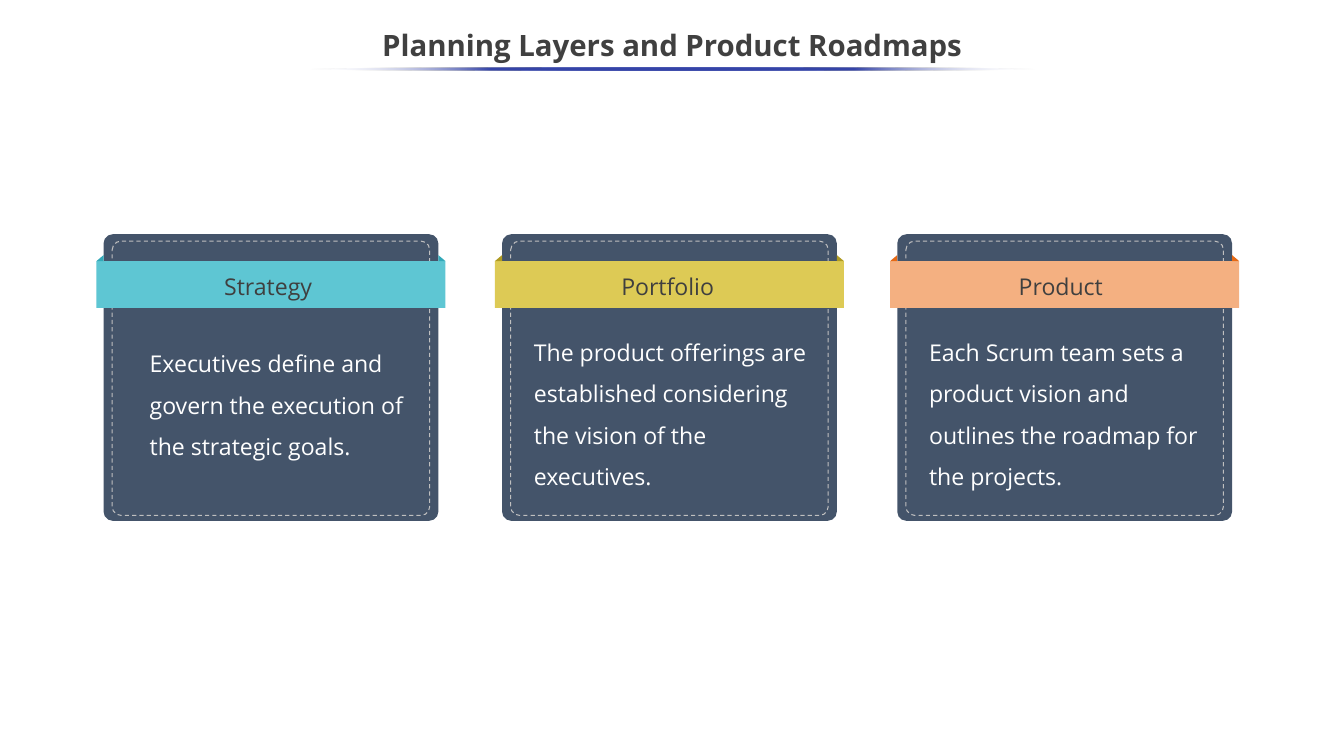
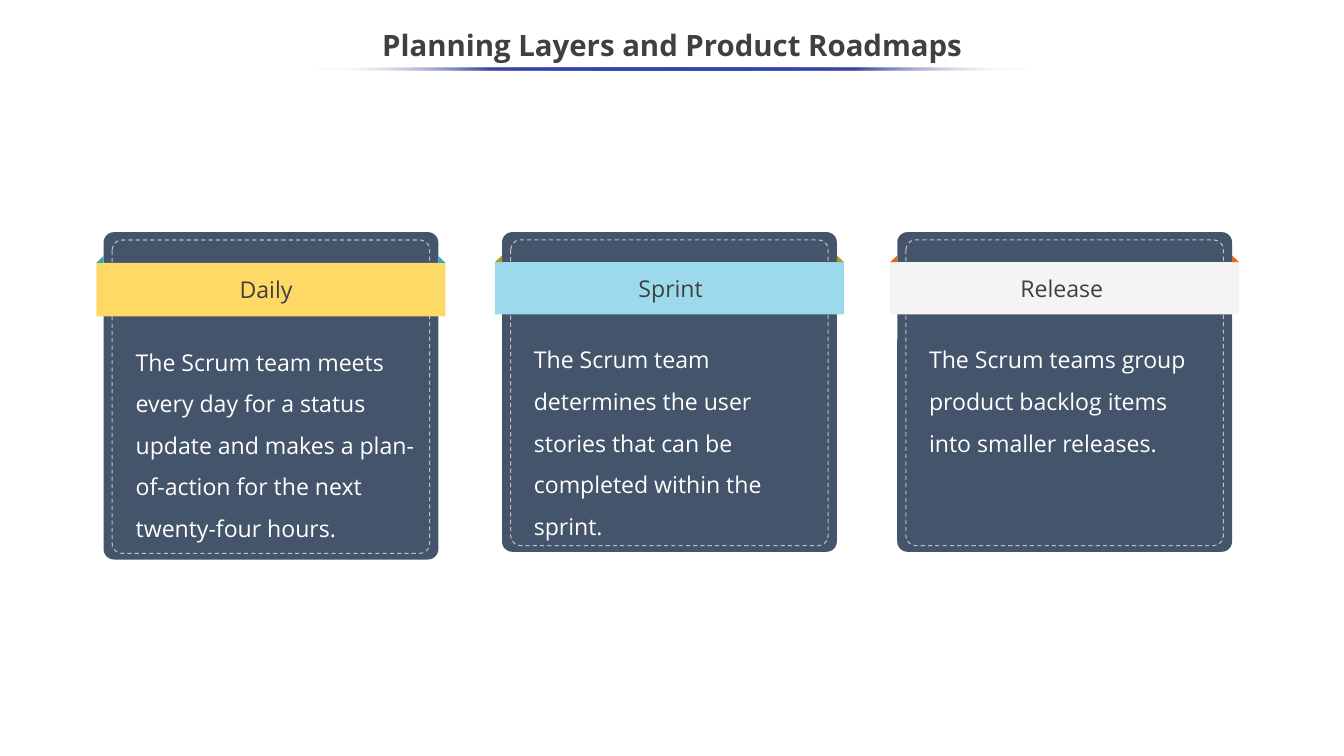
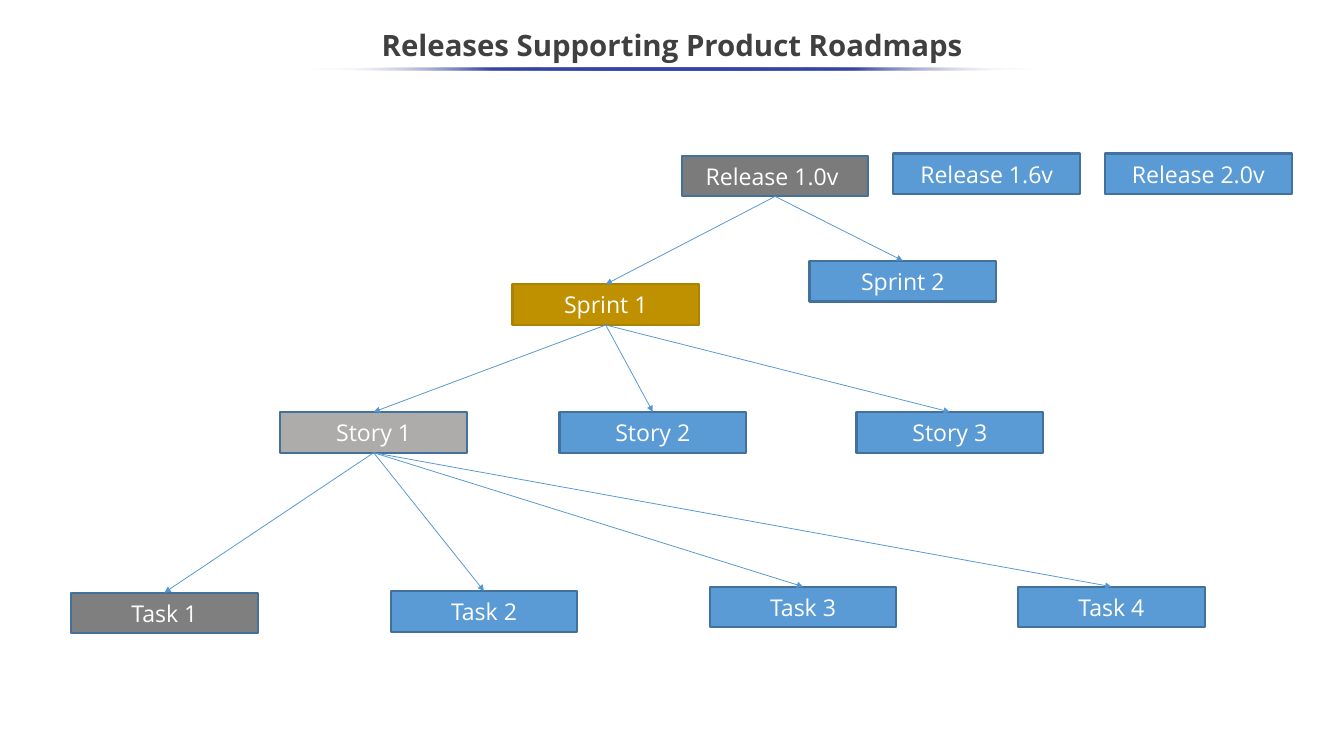
from pptx import Presentation
from pptx.dml.color import RGBColor
from pptx.enum.dml import MSO_LINE
from pptx.enum.shapes import MSO_CONNECTOR, MSO_SHAPE
from pptx.enum.text import MSO_ANCHOR, PP_ALIGN
from pptx.oxml import parse_xml
from pptx.oxml.ns import nsdecls, qn
from pptx.util import Cm, Pt

FONT = "Open Sans"
COLORS = {
    "title": "404040", "label": "3F3F3F", "white": "FFFFFF", "rule": "3645A9",
    "card": "44546A", "stitch": "BFBFBF",
    "teal": "5EC6D3", "teal_fold": "32A8B8", "olive": "DDCA55", "olive_fold": "AF9B23",
    "peach": "F4B081", "orange_fold": "E56915",
    "yellow": "FFD966", "sky": "9CDAEB", "pale": "F5F4F4",
    "blue": "5B9BD5", "blue_edge": "42719B", "arrow": "5597D3",
    "iron": "7B7B7B", "gray": "7F7F7F", "silver": "AEABAB",
    "gold": "BF9000", "gold_edge": "AC8300",
}
SLIDE_W, SLIDE_H = 45.16, 25.4
CARD_XS, CARD_W = (3.48, 16.87, 30.15), 11.25
FOLD_W = 0.24
BODY_W = 9.86
NODE_W, NODE_H = 6.27, 1.37

LAYERS = [
    dict(label="Strategy ", label_box=(3.71, 3.84), band="teal", fold="teal_fold", height=9.63,
         body="Executives define and govern the execution of the strategic goals.",
         body_box=(1.3, 3.28, 4.5)),
    dict(label="Portfolio", label_box=(3.48, 4.17), band="olive", fold="olive_fold", height=9.63,
         body="The product offerings are established considering the vision of the executives.",
         body_box=(0.82, 2.9, 5.89)),
    dict(label="Product", label_box=(3.63, 3.73), band="peach", fold="orange_fold", height=9.63,
         body="Each Scrum team sets a product vision and outlines the roadmap for the projects.",
         body_box=(0.82, 2.9, 6.02)),
]
CYCLES = [
    dict(label="Daily", label_box=(3.91, 3.1), band="yellow", fold="teal_fold", height=11,
         body="The Scrum team meets every day for a status update and makes a "
              "plan-of-action for the next twenty-four hours.",
         body_box=(0.83, 3.3, 7.44)),
    dict(label="Sprint", label_box=(4.04, 3.25), band="sky", fold="olive_fold", height=10.74,
         body="The Scrum team determines the user stories that can be completed within the sprint.",
         body_box=(0.82, 3.23, 7.44)),
    dict(label="Release", label_box=(3.43, 4.19), band="pale", fold="orange_fold", height=10.74,
         body="The Scrum teams group product backlog items into smaller releases.",
         body_box=(0.82, 3.23, 4.57)),
]
NODES = [
    ("Release 1.0v ", 22.91, 5.23, "iron", "blue_edge"),
    ("Release 1.6v", 30.02, 5.16, "blue", "blue_edge"),
    ("Release 2.0v", 37.13, 5.16, "blue", "blue_edge"),
    ("Sprint 1", 17.22, 9.55, "gold", "gold_edge"),
    ("Sprint 2", 27.2, 8.76, "blue", "blue_edge"),
    ("Story 1", 9.42, 13.84, "silver", "blue_edge"),
    ("Story 2", 18.8, 13.84, "blue", "blue_edge"),
    ("Story 3", 28.78, 13.84, "blue", "blue_edge"),
    ("Task 1", 2.39, 19.91, "gray", "blue_edge"),
    ("Task 2", 13.13, 19.86, "blue", "blue_edge"),
    ("Task 3", 23.85, 19.71, "blue", "blue_edge"),
    ("Task 4", 34.21, 19.71, "blue", "blue_edge"),
]
CHILDREN = {
    "Release 1.0v ": ("Sprint 1", "Sprint 2"),
    "Sprint 1": ("Story 1", "Story 2", "Story 3"),
    "Story 1": ("Task 1", "Task 2", "Task 3", "Task 4"),
}


def rgb(name):
    """Return the named palette colour."""
    return RGBColor.from_string(COLORS[name])


def write(sp, text, size=22, color="white", bold=False, align=PP_ALIGN.LEFT,
          anchor=MSO_ANCHOR.TOP, spacing=1.0):
    """Put one formatted paragraph into a shape."""
    tf = sp.text_frame
    tf.word_wrap = True
    tf.vertical_anchor = anchor
    p = tf.paragraphs[0]
    p.alignment = align
    p.line_spacing = spacing
    r = p.add_run()
    r.text = text
    r.font.name, r.font.size, r.font.bold = FONT, Pt(size), bold
    r.font.color.rgb = rgb(color)


def add_text(shapes, x, y, w, h, text, **fmt):
    """Add a text box with formatted text."""
    write(shapes.add_textbox(Cm(x), Cm(y), Cm(w), Cm(h)), text, **fmt)


def add_block(shapes, kind, x, y, w, h, fill=None, line=None, width=1):
    """Add a flat preset shape with optional fill and outline."""
    sp = shapes.add_shape(kind, Cm(x), Cm(y), Cm(w), Cm(h))
    sp.shadow.inherit = False
    if fill:
        sp.fill.solid()
        sp.fill.fore_color.rgb = rgb(fill)
    else:
        sp.fill.background()
    if line:
        sp.line.color.rgb = rgb(line)
        sp.line.width = Pt(width)
    else:
        sp.line.fill.background()
    return sp


def add_title(slide, text):
    """Add the slide title and the fading rule under it."""
    add_text(slide.shapes, 0, 0.64, SLIDE_W, 1.9, text, size=28, color="title", bold=True,
             align=PP_ALIGN.CENTER, anchor=MSO_ANCHOR.MIDDLE, spacing=0.9)
    rule = add_block(slide.shapes, MSO_SHAPE.OVAL, 10.41, 2.26, 24.38, 0.1)
    stops = "".join(
        f'<a:gs pos="{pos}000"><a:srgbClr val="{COLORS[name]}">'
        f'<a:alpha val="{alpha}000"/></a:srgbClr></a:gs>'
        for pos, name, alpha in ((0, "white", 0), (25, "rule", 100), (50, "rule", 100),
                                 (75, "rule", 100), (100, "white", 0)))
    spPr = rule._element.spPr
    spPr.replace(spPr.find(qn("a:noFill")), parse_xml(
        f'<a:gradFill {nsdecls("a")} rotWithShape="1"><a:gsLst>{stops}</a:gsLst>'
        '<a:lin ang="10800000" scaled="0"/></a:gradFill>'))


def add_card(slide, x, y, w, height, label, label_box, band, fold, body, body_box):
    """Add a stitched card wrapped by a labelled ribbon."""
    shapes = slide.shapes.add_group_shape().shapes
    panel = add_block(shapes, MSO_SHAPE.ROUNDED_RECTANGLE, x, y, w, height, fill="card")
    stitch = add_block(shapes, MSO_SHAPE.ROUNDED_RECTANGLE, x + 0.29, y + 0.024 * height,
                       w - 0.58, 0.957 * height, line="stitch")
    stitch.line.dash_style = MSO_LINE.DASH
    for sp in (panel, stitch):
        sp.adjustments[0] = 0.032

    band_y, fold_h = y + 0.094 * height, 0.021 * height
    add_block(shapes, MSO_SHAPE.RECTANGLE, x - FOLD_W, band_y, w + 2 * FOLD_W,
              0.163 * height, fill=band)
    label_x, label_w = label_box
    add_text(shapes, x + label_x, y + 0.121 * height, label_w, 1.19, label,
             color="label", align=PP_ALIGN.CENTER)
    left, _ = [add_block(shapes, MSO_SHAPE.RIGHT_TRIANGLE, fold_x, band_y - fold_h,
                         FOLD_W, fold_h, fill=fold) for fold_x in (x - FOLD_W, x + w)]
    left._element.spPr.find(qn("a:xfrm")).set("flipH", "1")

    body_x, body_y, body_h = body_box
    add_text(shapes, x + body_x, y + body_y, BODY_W, body_h, body, spacing=1.5)


def add_arrow(slide, parent, child):
    """Draw an arrow from the bottom of one node to the top of another."""
    cx = slide.shapes.add_connector(MSO_CONNECTOR.STRAIGHT, 0, 0, 0, 0)
    cx.begin_connect(parent, 2)
    cx.end_connect(child, 0)
    cx.line.color.rgb = rgb("arrow")
    cx.line.width = Pt(0.75)
    cx.line._get_or_add_ln().append(parse_xml(f'<a:tailEnd {nsdecls("a")} type="triangle"/>'))
    cx._element.spPr.append(parse_xml(f'<a:effectLst {nsdecls("a")}/>'))


def new_slide(prs, title):
    """Add a blank slide with the shared title."""
    slide = prs.slides.add_slide(prs.slide_layouts[6])
    add_title(slide, title)
    return slide


def cards_slide(prs, title, y, cards):
    """Build a slide with a row of ribbon cards."""
    slide = new_slide(prs, title)
    for x, card in zip(CARD_XS, cards):
        add_card(slide, x, y, CARD_W, **card)


def tree_slide(prs, title):
    """Build the slide that breaks releases down to tasks."""
    slide = new_slide(prs, title)
    nodes = {}
    for name, x, y, fill, edge in NODES:
        sp = add_block(slide.shapes, MSO_SHAPE.RECTANGLE, x, y, NODE_W, NODE_H,
                       fill=fill, line=edge, width=2)
        write(sp, name, align=PP_ALIGN.CENTER, anchor=MSO_ANCHOR.MIDDLE)
        nodes[name] = sp
    for parent, children in CHILDREN.items():
        for child in children:
            add_arrow(slide, nodes[parent], nodes[child])


def main():
    """Build the deck and save it."""
    prs = Presentation()
    prs.slide_width, prs.slide_height = Cm(SLIDE_W), Cm(SLIDE_H)
    cards_slide(prs, "Planning Layers and Product Roadmaps", 7.87, LAYERS)
    cards_slide(prs, "Planning Layers and Product Roadmaps", 7.8, CYCLES)
    tree_slide(prs, "Releases Supporting Product Roadmaps")
    prs.save("out.pptx")


if __name__ == "__main__":
    main()
